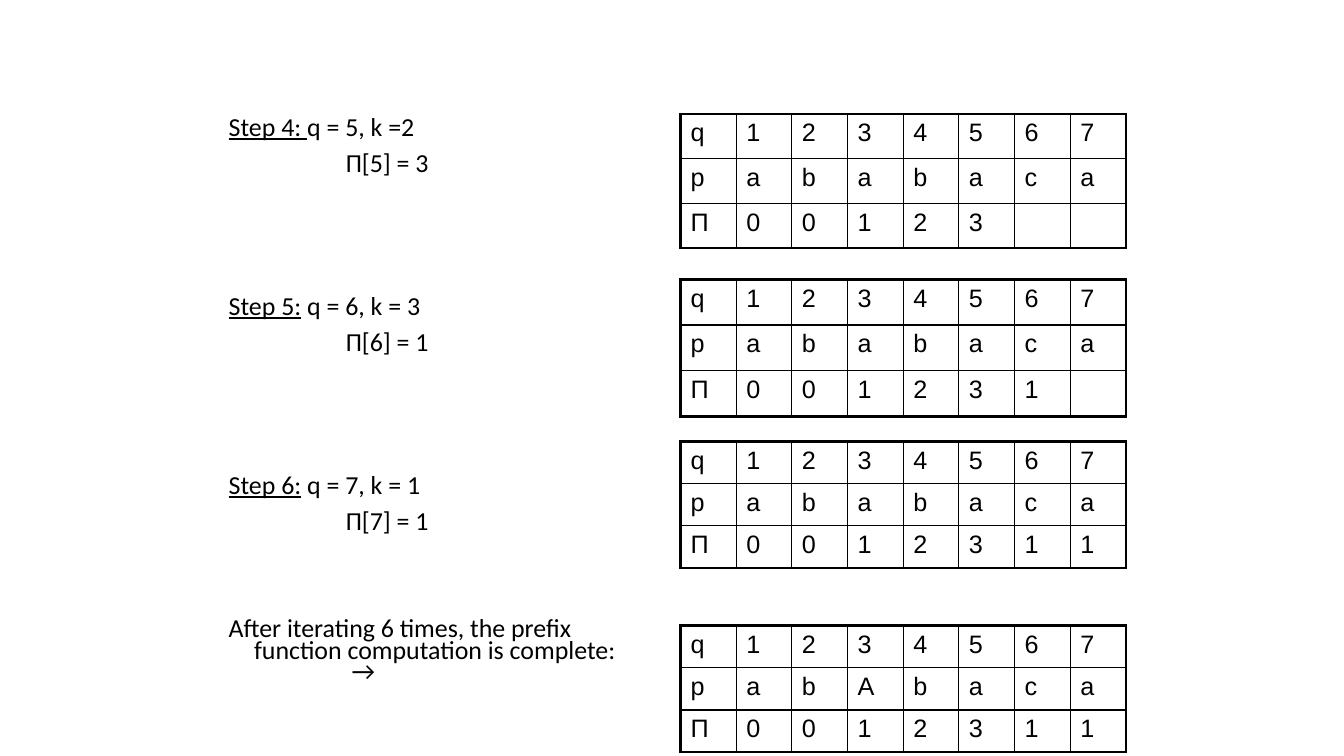
from lxml.etree import SubElement
from pptx import Presentation
from pptx.dml.color import RGBColor
from pptx.enum.text import MSO_ANCHOR, MSO_AUTO_SIZE
from pptx.oxml.ns import qn
from pptx.util import Cm, Pt

BLACK = "000000"
THIN, THICK = 1, 2.25


def style(font, name, size, color):
    font.name = name
    font.size = Pt(size)
    font.color.rgb = RGBColor.from_string(color)


def edge(cell, side, width, color):
    """Draw one cell border; side is L, R, T or B, called in that order."""
    props = cell._tc.get_or_add_tcPr()
    line = SubElement(props, qn(f"a:ln{side}"), w=str(Pt(width)))
    fill = SubElement(line, qn("a:solidFill"))
    SubElement(fill, qn("a:srgbClr"), val=color)


deck = Presentation()
deck.slide_width = Cm(33.87)
deck.slide_height = Cm(19.05)
slide = deck.slides.add_slide(deck.slide_layouts[1])
title = slide.shapes.title
title.element.getparent().remove(title.element)

# Steps: label, text, left margin and first-line indent (cm), space before (pt)
steps = [
    ("Step 4: ", "q = 5, k =2", 0.64, -0.64, 10),
    ("", "Π[5] = 3", 2.95, 0, 10),
    ("Step 5:", " q = 6, k = 3", 0.64, -0.64, 86.7),
    ("", "Π[6] = 1", 2.95, 0, 10),
    ("Step 6:", " q = 7, k = 1", 0.64, -0.64, 86.7),
    ("", "Π[7] = 1", 2.95, 0, 10),
    ("", "After iterating 6 times, the prefix function computation is complete:",
     0.64, -0.64, 61.1),
    ("", "→", 3.1, 0, 0),
]
body = slide.placeholders[1]
body.left, body.top = Cm(5.51), Cm(2.87)
body.width, body.height = Cm(11.23), Cm(15.75)
frame = body.text_frame
frame.word_wrap = True
frame.auto_size = MSO_AUTO_SIZE.NONE
frame.vertical_anchor = MSO_ANCHOR.TOP
for i, (label, text, left, indent, gap) in enumerate(steps):
    para = frame.paragraphs[0] if i == 0 else frame.add_paragraph()
    para.line_spacing = 0.7
    para.space_before = Pt(gap)
    props = para._p.get_or_add_pPr()
    props.set("marL", str(Cm(left)))
    props.set("indent", str(Cm(indent)))
    SubElement(props, qn("a:buNone"))
    for part in filter(None, (label, text)):
        run = para.add_run()
        run.text = part
        style(run.font, "Calibri", 18.5, BLACK)
        run.font.underline = part == label

# Tables: top and height (cm), pattern, prefix values found so far
tables = [
    (2.87, 3.38, "ababaca", "00123"),
    (7.04, 3.45, "ababaca", "001231"),
    (11.13, 3.18, "ababaca", "0012311"),
    (15.77, 3.18, "abAbaca", "0012311"),
]
for top, height, pattern, prefix in tables:
    grid = slide.shapes.add_table(3, 8, Cm(17.15), Cm(top), Cm(11.23), Cm(height)).table
    grid.first_row = grid.horz_banding = False
    rows = ["q1234567", "p" + pattern, ("Π" + prefix).ljust(8)]
    for r, row in enumerate(rows):
        for c, mark in enumerate(row):
            cell = grid.cell(r, c)
            cell.text = mark.strip()
            para = cell.text_frame.paragraphs[0]
            style(para.font, "Arial", 18, BLACK)
            for run in para.runs:
                style(run.font, "Arial", 18, BLACK)
            outer = {"L": c == 0, "R": c == 7, "T": r == 0, "B": r == 2}
            for side, thick in outer.items():
                edge(cell, side, THICK if thick else THIN, BLACK)
            cell.fill.background()

deck.save("out.pptx")
